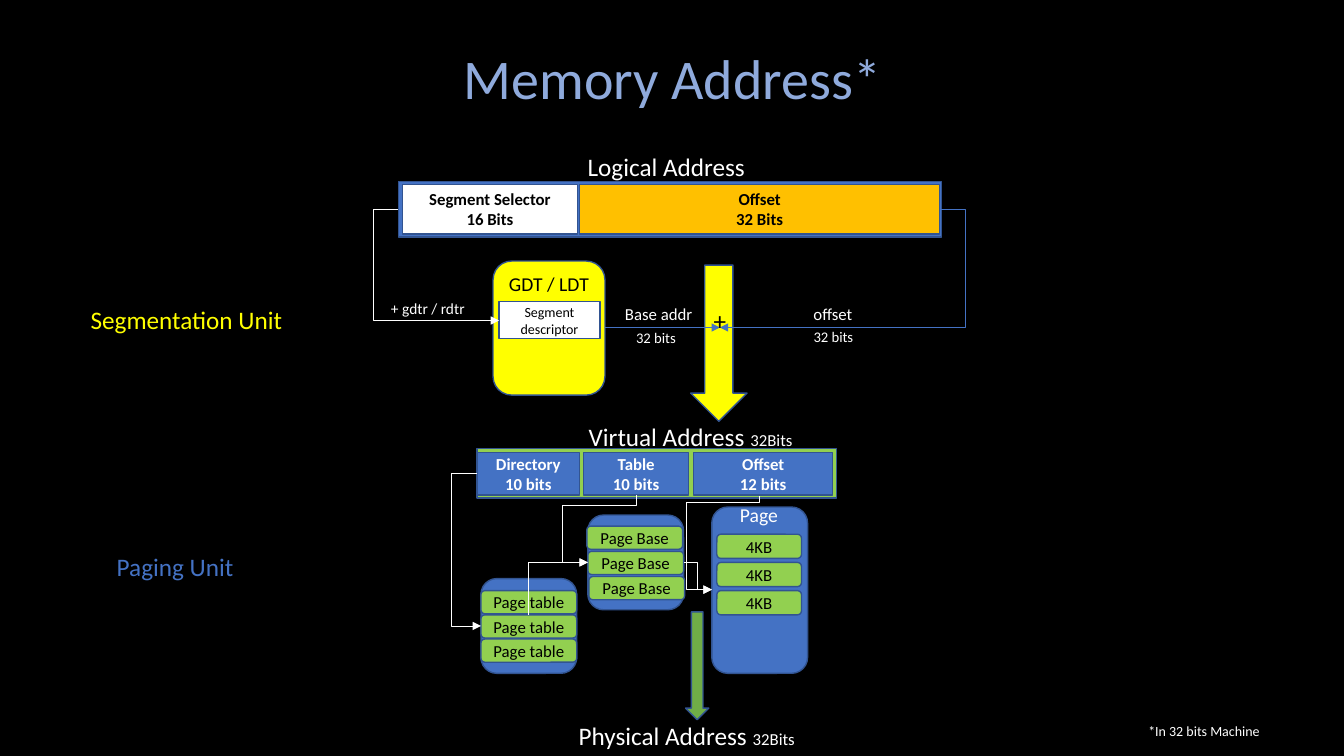
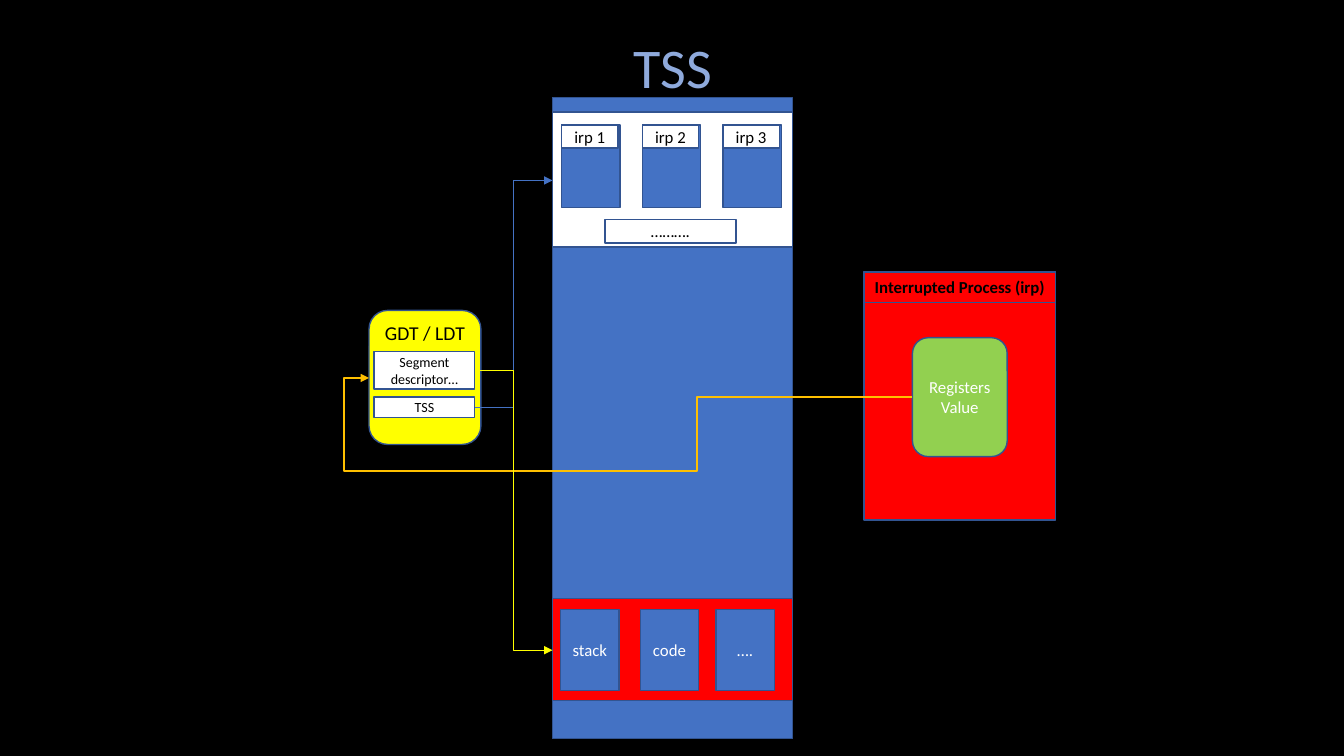
from lxml.etree import SubElement
from pptx import Presentation
from pptx.dml.color import RGBColor
from pptx.enum.shapes import MSO_CONNECTOR, MSO_SHAPE as Preset
from pptx.enum.text import MSO_ANCHOR as Anchor, MSO_AUTO_SIZE as AutoSize, PP_ALIGN as Align
from pptx.oxml.ns import qn
from pptx.util import Inches, Pt

FONT = "Calibri"
COLORS = {
    "black": "000000", "white": "FFFFFF", "title": "8FAADC", "blue": "4472C4",
    "outline": "325491", "amber": "FFC000", "yellow": "FFFF00", "lime": "92D050",
    "green": "70AD47", "red": "FF0000",
}
COLORS = {name: RGBColor.from_string(value) for name, value in COLORS.items()}
RECT, ROUND, ARROW = Preset.RECTANGLE, Preset.ROUNDED_RECTANGLE, Preset.DOWN_ARROW


def block(page, preset, bounds, fill, text="", size=12, color="black", bold=False, anchor=Anchor.MIDDLE):
    shape = page.shapes.add_shape(preset, *map(Inches, bounds))
    shape.shadow.inherit = False
    shape.fill.solid()
    shape.fill.fore_color.rgb = COLORS[fill]
    shape.line.color.rgb = COLORS["outline"]
    shape.line.width = Pt(1)
    if text:
        frame = shape.text_frame
        frame.text = text
        frame.word_wrap = True
        frame.vertical_anchor = anchor
        frame.margin_left = frame.margin_right = Inches(0.05)
        for para in frame.paragraphs:
            para.alignment = Align.CENTER
            para.font.name = FONT
            para.font.size = Pt(size)
            para.font.bold = bold
            para.font.color.rgb = COLORS[color]


def route(page, points, color="white", width=0.5):
    start, end = points[0], points[-1]
    span = (end[0] - start[0], end[1] - start[1])
    first_axis = 1 if start[0] == points[1][0] else 0
    ends = [*start, *end]
    if first_axis:
        middle_x, middle_y = (start[0] + end[0]) / 2, (start[1] + end[1]) / 2
        half_x, half_y = span[0] / 2, span[1] / 2
        ends = [middle_x - half_y, middle_y + half_x, middle_x + half_y, middle_y - half_x]
    line = page.shapes.add_connector(MSO_CONNECTOR.ELBOW, *map(Inches, ends))
    line.line.color.rgb = COLORS[color]
    line.line.width = Pt(width)
    properties = line._element.spPr
    if first_axis:
        properties.find(qn("a:xfrm")).set("rot", "5400000")
    geometry = properties.find(qn("a:prstGeom"))
    geometry.set("prst", f"bentConnector{len(points) - 1}")
    for index, point in enumerate(points[1:-2]):
        axis = (first_axis + index) % 2
        ratio = (point[axis] - start[axis]) / span[axis]
        SubElement(geometry.find(qn("a:avLst")), qn("a:gd"),
                   name=f"adj{index + 1}" if len(points) > 3 else "adj",
                   fmla=f"val {round(ratio * 100000)}")
    SubElement(properties.find(qn("a:ln")), qn("a:tailEnd"), type="triangle")
    SubElement(properties, qn("a:effectLst"))


deck = Presentation()
deck.slide_width, deck.slide_height = Inches(13.33), Inches(7.5)
background = deck.slide_master.background.fill
background.solid()
background.fore_color.rgb = COLORS["black"]

pages = []
for heading, top in [("Memory Address*", 0.38), ("TSS", 0.27)]:
    page = deck.slides.add_slide(deck.slide_layouts[5])
    title = page.shapes.title
    title.left, title.top, title.width, title.height = map(Inches, (2.05, top, 9.24, 0.77))
    frame = title.text_frame
    frame.text = heading
    frame.auto_size = AutoSize.NONE
    frame.vertical_anchor = Anchor.TOP
    para = frame.paragraphs[0]
    para.alignment = Align.CENTER
    para.font.name = FONT
    para.font.size = Pt(40)
    para.font.color.rgb = COLORS["title"]
    pages.append(page)
address, tss = pages

block(address, RECT, (3.95, 1.8, 5.39, 0.55), "blue")
block(address, RECT, (5.75, 1.83, 3.57, 0.49), "amber", "Offset\n32 Bits", bold=True)
block(address, RECT, (3.99, 1.83, 1.74, 0.49), "white", "Segment Selector\n16 Bits", bold=True)
block(address, ARROW, (6.85, 2.63, 0.56, 1.55), "yellow")
block(address, ROUND, (4.89, 2.59, 1.11, 1.33), "yellow", "GDT / LDT", 14, anchor=Anchor.TOP)
block(address, RECT, (4.95, 2.99, 1, 0.37), "white", "Segment descriptor", 10)

block(address, RECT, (4.73, 4.45, 3.57, 0.49), "lime")
for left, width, text in [(4.73, 1.02, "Directory\n10 bits"), (5.79, 1.04, "Table\n10 bits"),
                          (6.88, 1.38, "Offset\n12 bits")]:
    block(address, RECT, (left, 4.49, width, 0.42), "blue", text, color="white", bold=True)

for left, top, height in [(4.77, 5.74, 0.94), (5.83, 5.11, 0.94), (7.06, 5.03, 1.65)]:
    block(address, ROUND, (left, top, 0.95, height), "blue")
for row in range(3):
    block(address, ROUND, (4.77, 5.86 + 0.24 * row, 0.95, 0.23), "lime", "Page table")
    block(address, ROUND, (5.82 + 0.01 * row, 5.22 + 0.25 * row, 0.95, 0.23), "lime", "Page Base")
    block(address, ROUND, (7.11, 5.3 + 0.28 * row, 0.84, 0.24), "lime", "4KB")
block(address, ARROW, (6.8, 6.07, 0.23, 1.07), "green")

for points, color in [
    ([(3.95, 2.08), (3.7, 2.08), (3.7, 3.18), (4.95, 3.18)], "white"),
    ([(6, 3.25), (6.57, 3.25), (6.57, 3.25), (7.14, 3.25)], "blue"),
    ([(9.32, 2.08), (9.57, 2.08), (9.57, 3.25), (7.14, 3.25)], "blue"),
    ([(4.73, 4.7), (4.48, 4.7), (4.48, 6.21), (4.77, 6.21)], "white"),
    ([(6.31, 4.91), (6.31, 5.01), (5.58, 5.01), (5.58, 5.58), (5.83, 5.58)], "white"),
    ([(5.24, 6.1), (5.24, 5.58), (5.83, 5.58)], "white"),
    ([(7.53, 4.92), (7.53, 4.98), (6.81, 4.98), (6.81, 5.85), (7.06, 5.85)], "white"),
    ([(6.78, 5.58), (6.92, 5.58), (6.92, 5.85), (7.06, 5.85)], "white"),
]:
    route(address, points, color)

for bounds, text, size, color, suffix in [
    ((5.73, 1.45, 1.78, 0.4), "Logical Address", 18, "white", ""),
    ((11.29, 7.12, 1.32, 0.27), "*In 32 bits Machine", 10, "white", ""),
    ((0.8, 2.97, 2.12, 0.4), "Segmentation Unit", 18, "yellow", ""),
    ((3.78, 2.92, 0.94, 0.29), "+ gdtr / rdtr", 11, "white", ""),
    ((7.97, 2.96, 0.6, 0.3), "offset", 12, "white", ""),
    ((6.1, 2.96, 0.88, 0.3), "Base addr", 12, "white", ""),
    ((6.98, 2.98, 0.33, 0.4), "+", 18, "black", ""),
    ((6.21, 3.21, 0.62, 0.29), "32 bits", 10.5, "white", ""),
    ((7.97, 3.2, 0.62, 0.29), "32 bits", 10.5, "white", ""),
    ((5.74, 4.13, 2.38, 0.4), "Virtual Address ", 18, "white", "32Bits"),
    ((1.06, 5.42, 1.37, 0.4), "Paging Unit", 18, "blue", ""),
    ((7.24, 4.94, 0.59, 0.34), "Page", 14, "white", ""),
    ((5.64, 7.1, 2.43, 0.4), "Physical Address ", 18, "white", "32Bits"),
]:
    box = address.shapes.add_textbox(*map(Inches, bounds))
    frame = box.text_frame
    frame.word_wrap = False
    frame.auto_size = AutoSize.SHAPE_TO_FIT_TEXT
    para = frame.paragraphs[0]
    para.font.name = FONT
    para.font.size = Pt(size)
    para.font.color.rgb = COLORS[color]
    para.add_run().text = text
    if suffix:
        span = para.add_run()
        span.text = suffix
        span.font.size = Pt(12)

block(tss, ROUND, (3.66, 3.08, 1.11, 1.33), "yellow", "GDT / LDT", 14, anchor=Anchor.TOP)
block(tss, RECT, (3.71, 3.49, 1, 0.37), "white", "Segment descriptor…", 10)
block(tss, RECT, (3.71, 3.94, 1, 0.2), "white", "TSS", 10)

block(tss, RECT, (8.57, 2.7, 1.9, 2.46), "red")
block(tss, RECT, (8.57, 2.7, 1.9, 0.3), "red", "Interrupted Process (irp)", bold=True)
block(tss, ROUND, (9.05, 3.35, 0.94, 1.18), "lime", "Registers\nValue", color="white")

for top, height, fill in [(0.97, 6.36, "blue"), (1.11, 1.34, "white"), (5.94, 1.01, "red")]:
    block(tss, RECT, (5.48, top, 2.38, height), fill)
for column in range(3):
    left = 5.57 + 0.8 * column
    block(tss, RECT, (left, 1.24, 0.58, 0.82), "blue")
    block(tss, RECT, (left, 1.24, 0.56, 0.23), "white", f"irp {column + 1}")
block(tss, RECT, (6, 2.18, 1.3, 0.23), "white", "……….")
for left, text in [(5.56, "stack"), (6.35, "code"), (7.1, "….")]:
    block(tss, RECT, (left, 6.05, 0.58, 0.8), "blue", text, color="white")

route(tss, [(4.71, 4.04), (5.09, 4.04), (5.09, 1.79), (5.48, 1.79)], "blue")
route(tss, [(9.05, 3.94), (6.91, 3.94), (6.91, 4.67), (3.41, 4.67), (3.41, 3.75), (3.66, 3.75)], "amber", 1.5)
route(tss, [(4.71, 3.67), (5.09, 3.67), (5.09, 6.45), (5.48, 6.45)], "yellow")

deck.save("out.pptx")
